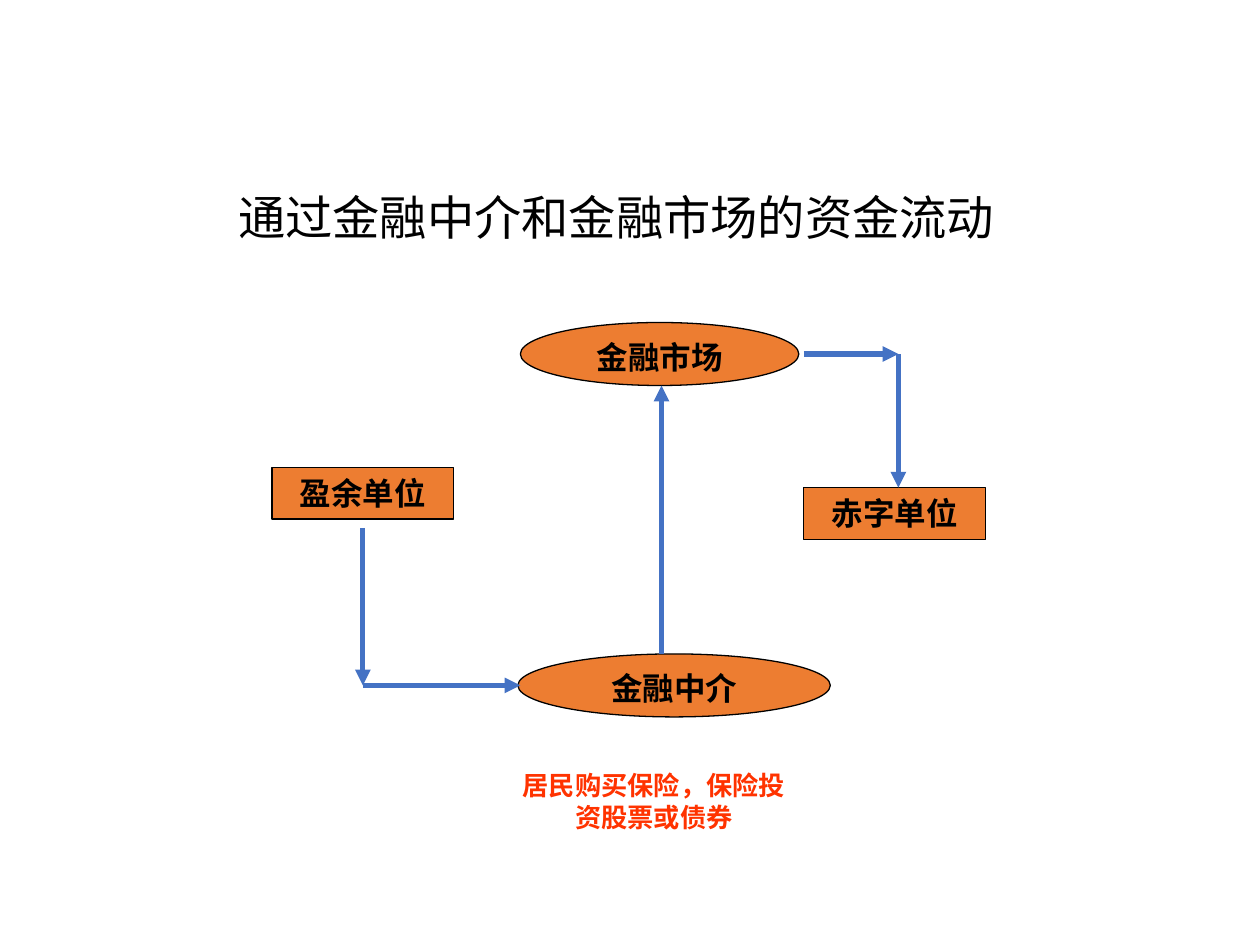
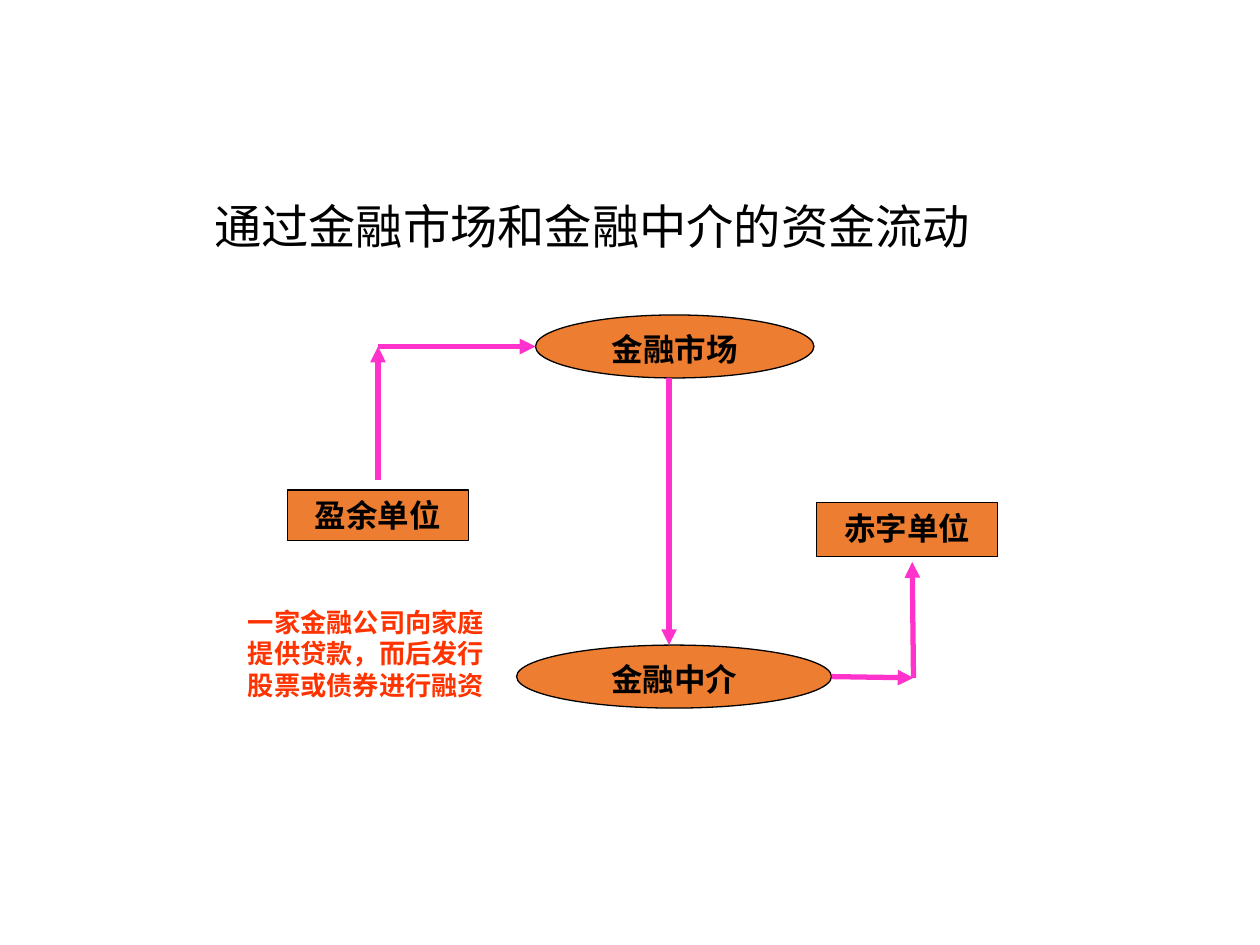
"""Build two slides showing how funds flow between financial markets and intermediaries."""
from itertools import pairwise

from lxml.etree import SubElement
from pptx import Presentation
from pptx.dml.color import RGBColor
from pptx.enum.shapes import MSO_CONNECTOR, MSO_SHAPE
from pptx.enum.text import MSO_ANCHOR, MSO_AUTO_SIZE, PP_ALIGN
from pptx.oxml.ns import qn
from pptx.util import Inches, Pt

BLACK = RGBColor(0x00, 0x00, 0x00)
ORANGE = RGBColor(0xED, 0x7D, 0x31)
BLUE = RGBColor(0x44, 0x72, 0xC4)
PINK = RGBColor(0xFF, 0x33, 0xCC)
RED = RGBColor(0xFF, 0x33, 0x00)
TITLE_FONT = "Noto Sans CJK SC"
LABEL_FONT = "Times New Roman"
TITLE_ONLY = 5
OVAL, RECTANGLE = MSO_SHAPE.OVAL, MSO_SHAPE.RECTANGLE

FLOWS = [
    {
        "title": ("通过金融中介和金融市场的资金流动", (1.81, 1.44, 6.38, 0.62)),
        "nodes": [
            ("金融市场", OVAL, (4.13, 2.56, 2.21, 0.5)),
            ("金融中介", OVAL, (4.11, 5.19, 2.48, 0.5)),
            ("盈余单位", RECTANGLE, (2.16, 3.71, 1.44, 0.41)),
            ("赤字单位", RECTANGLE, (6.38, 3.87, 1.44, 0.41)),
        ],
        "arrow_color": BLUE,
        "routes": [
            [(2.88, 4.19), (2.88, 5.44), (4.13, 5.44)],
            [(6.38, 2.81), (7.13, 2.81), (7.13, 3.87)],
            [(5.25, 5.19), (5.25, 3.06)],
        ],
        "note": ("居民购买保险，保险投资股票或债券", (4.01, 6.06, 2.36, 0.61)),
    },
    {
        "title": ("通过金融市场和金融中介的资金流动", (1.62, 1.44, 6.75, 0.75)),
        "nodes": [
            ("金融市场", OVAL, (4.25, 2.5, 2.21, 0.5)),
            ("金融中介", OVAL, (4.1, 5.12, 2.5, 0.5)),
            ("盈余单位", RECTANGLE, (2.28, 3.89, 1.44, 0.4)),
            ("赤字单位", RECTANGLE, (6.48, 3.99, 1.44, 0.43)),
        ],
        "arrow_color": PINK,
        "routes": [
            [(3, 3.81), (3, 2.75), (4.25, 2.75)],
            [(6.6, 5.37), (7.25, 5.38), (7.24, 4.46)],
            [(5.31, 3), (5.31, 5.12)],
        ],
        "note": ("一家金融公司向家庭提供贷款，而后发行股票或债券进行融资", (1.81, 4.76, 2.19, 0.86)),
    },
]


def inches(lengths):
    return [Inches(length) for length in lengths]


def write_label(box, text, size, color):
    frame = box.text_frame
    frame.text = text
    frame.word_wrap = True
    frame.vertical_anchor = MSO_ANCHOR.TOP
    paragraph = frame.paragraphs[0]
    paragraph.alignment = PP_ALIGN.CENTER
    font = paragraph.runs[0].font
    font.name, font.size, font.bold = LABEL_FONT, Pt(size), True
    font.color.rgb = color


def set_title(slide, text, place):
    title = slide.shapes.title
    title.left, title.top, title.width, title.height = inches(place)
    frame = title.text_frame
    frame.text = text
    frame.word_wrap = True
    frame.auto_size = MSO_AUTO_SIZE.NONE
    frame.vertical_anchor = MSO_ANCHOR.MIDDLE
    frame.margin_left = frame.margin_right = Inches(0.08)
    frame.margin_top = frame.margin_bottom = Inches(0.04)
    paragraph = frame.paragraphs[0]
    paragraph.alignment = PP_ALIGN.LEFT
    paragraph.line_spacing = 0.9
    span = paragraph.runs[0]
    span.font.name, span.font.size = TITLE_FONT, Pt(27)
    span.font.color.rgb = BLACK
    SubElement(span.font._element, qn("a:ea"), typeface=TITLE_FONT)


def add_node(slide, text, kind, place):
    node = slide.shapes.add_shape(kind, *inches(place))
    node.shadow.inherit = False
    node.fill.solid()
    node.fill.fore_color.rgb = ORANGE
    node.line.color.rgb = BLACK
    node.line.width = Pt(0.75)
    write_label(node, text, 18, BLACK)


def add_arrow(slide, start, end, color):
    arrow = slide.shapes.add_connector(MSO_CONNECTOR.STRAIGHT, *inches(start + end))
    arrow.line.color.rgb = color
    arrow.line.width = Pt(3)
    SubElement(arrow.line._get_or_add_ln(), qn("a:tailEnd"), type="triangle")
    SubElement(arrow._element.spPr, qn("a:effectLst"))


def add_flow_slide(deck, flow):
    slide = deck.slides.add_slide(deck.slide_layouts[TITLE_ONLY])
    set_title(slide, *flow["title"])
    for node in flow["nodes"]:
        add_node(slide, *node)
    for route in flow["routes"]:
        for start, end in pairwise(route):
            add_arrow(slide, start, end, flow["arrow_color"])
    text, place = flow["note"]
    write_label(slide.shapes.add_textbox(*inches(place)), text, 15, RED)


def main():
    deck = Presentation()
    deck.slide_width, deck.slide_height = inches((10, 7.5))
    for flow in FLOWS:
        add_flow_slide(deck, flow)
    deck.save("out.pptx")


if __name__ == "__main__":
    main()
